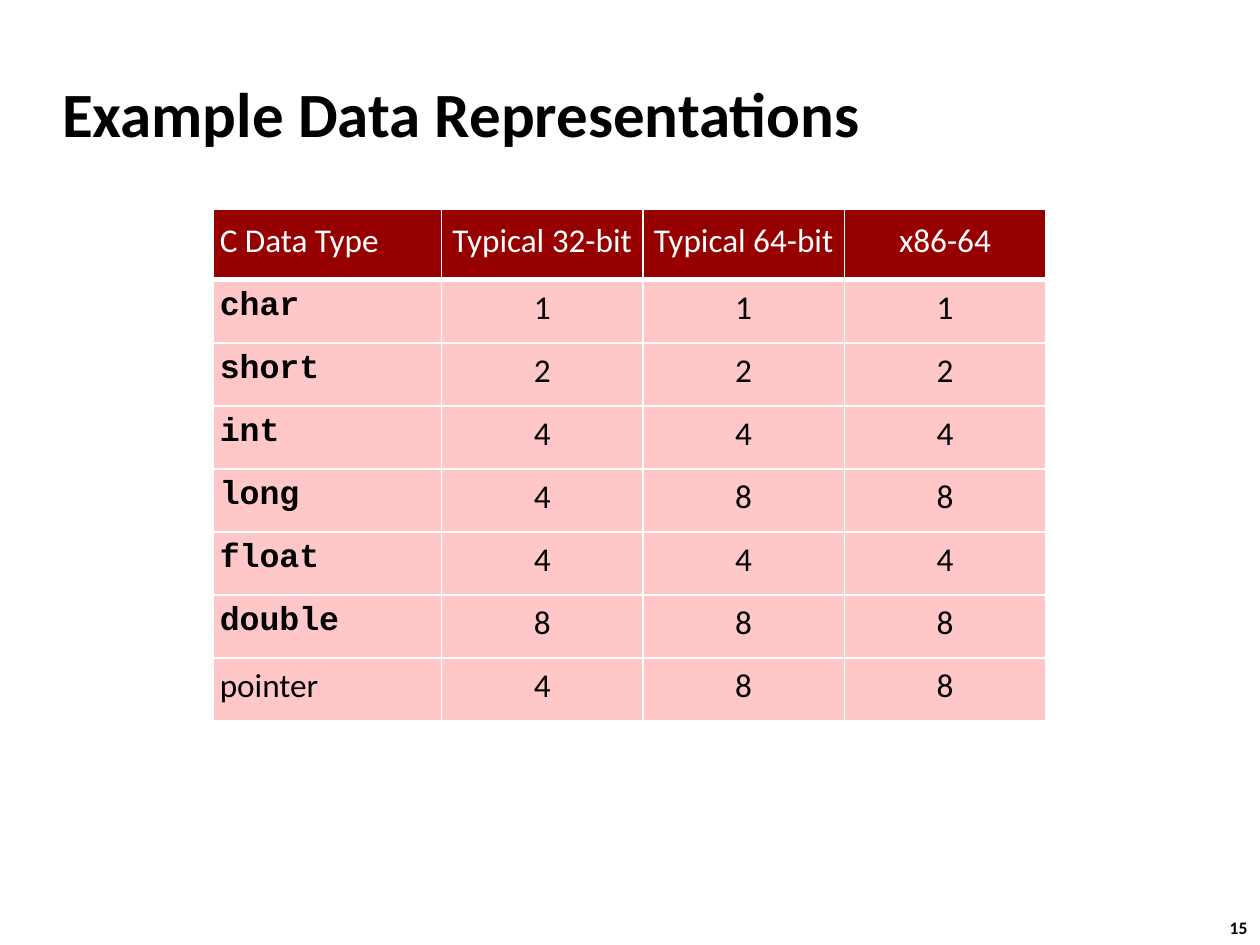
from lxml import etree
from pptx import Presentation
from pptx.dml.color import RGBColor
from pptx.enum.text import MSO_ANCHOR, MSO_AUTO_SIZE, PP_ALIGN
from pptx.oxml.ns import qn
from pptx.util import Cm, Pt

TOP = MSO_ANCHOR.TOP
NO_FIT = MSO_AUTO_SIZE.NONE
LEFT, CENTER = PP_ALIGN.LEFT, PP_ALIGN.CENTER

BLACK = RGBColor(0x00, 0x00, 0x00)
WHITE = RGBColor(0xFF, 0xFF, 0xFF)
DARK_RED = RGBColor(0x97, 0x00, 0x01)
PINK = RGBColor(0xFF, 0xC7, 0xC8)

BODY_FONT = "Calibri"
CODE_FONT = "Courier New"

HEADER = ("C Data Type", "Typical 32-bit", "Typical 64-bit", "x86-64")
SIZES = (
    ("char", 1, 1, 1),
    ("short", 2, 2, 2),
    ("int", 4, 4, 4),
    ("long", 4, 8, 8),
    ("float", 4, 4, 4),
    ("double", 8, 8, 8),
    ("pointer", 4, 8, 8),
)


def style_text(para, size, color=BLACK, bold=False, name=BODY_FONT):
    for span in para.runs:
        span.font.name = name
        span.font.size = Pt(size)
        span.font.bold = bold
        span.font.color.rgb = color


def set_margins(target, left=0, top=0):
    target.margin_left = Cm(left)
    target.margin_top = Cm(top)
    target.margin_right = target.margin_bottom = 0


def set_border(cell, side, width):
    properties = cell._tc.get_or_add_tcPr()
    line = etree.SubElement(properties, qn(f"a:ln{side}"), w=str(Pt(width)))
    fill = etree.SubElement(line, qn("a:solidFill"))
    etree.SubElement(fill, qn("a:srgbClr"), val=str(WHITE))


def add_title(page, left, top, width, height):
    title = page.shapes.title
    title.left, title.top = Cm(left), Cm(top)
    title.width, title.height = Cm(width), Cm(height)
    frame = title.text_frame
    frame.text = "Example Data Representations"
    frame.auto_size = NO_FIT
    frame.vertical_anchor = TOP
    set_margins(frame, left=0.03, top=0.03)
    para = frame.paragraphs[0]
    para.alignment = LEFT
    style_text(para, 36, bold=True)


def fill_cell(cell, value, row, column):
    is_header = row == 0
    is_code = column == 0 and 0 < row < len(SIZES)
    cell.text_frame.text = str(value)
    cell.vertical_anchor = TOP
    set_margins(cell, left=0 if column else 0.13,
                top=0.23 if is_header else 0.17 if is_code else 0.16)
    para = cell.text_frame.paragraphs[0]
    para.alignment = CENTER if column else LEFT
    style_text(para, 19, WHITE if is_header else BLACK, is_code,
               CODE_FONT if is_code else BODY_FONT)
    set_border(cell, "L", 1)
    set_border(cell, "R", 1)
    set_border(cell, "T", 3 if row == 1 else 1)
    set_border(cell, "B", 3 if is_header else 1)
    cell.fill.solid()
    cell.fill.fore_color.rgb = DARK_RED if is_header else PINK


def add_size_table(page, left, top, width, height):
    rows = (HEADER, *SIZES)
    header_height, first_width = 1.42, 4.6
    row_height = (height - header_height) / len(SIZES)
    column_width = (width - first_width) / (len(HEADER) - 1)
    table = page.shapes.add_table(
        len(rows), len(HEADER), Cm(left), Cm(top), Cm(width), Cm(height)
    ).table
    for index, column in enumerate(table.columns):
        column.width = Cm(column_width if index else first_width)
    for index, values in enumerate(rows):
        table.rows[index].height = Cm(row_height if index else header_height)
        for column, value in enumerate(values):
            fill_cell(table.cell(index, column), value, index, column)


def add_page_number(page, left, top, width, height):
    box = page.shapes.add_textbox(Cm(left), Cm(top), Cm(width), Cm(height))
    frame = box.text_frame
    frame.word_wrap = True
    set_margins(frame, left=0.08)
    frame.text = "15"
    para = frame.paragraphs[0]
    para.line_spacing = Pt(10.5)
    style_text(para, 10, bold=True)


def main():
    deck = Presentation()
    deck.slide_width, deck.slide_height = Cm(25.4), Cm(19.05)
    page = deck.slides.add_slide(deck.slide_layouts.get_by_name("Title Only"))
    add_title(page, 1.22, 1.47, 16.15, 1.57)
    add_size_table(page, 4.3, 4.22, 16.78, 10.31)
    add_page_number(page, 24.71, 18.54, 0.51, 0.38)
    deck.save("out.pptx")


if __name__ == "__main__":
    main()
